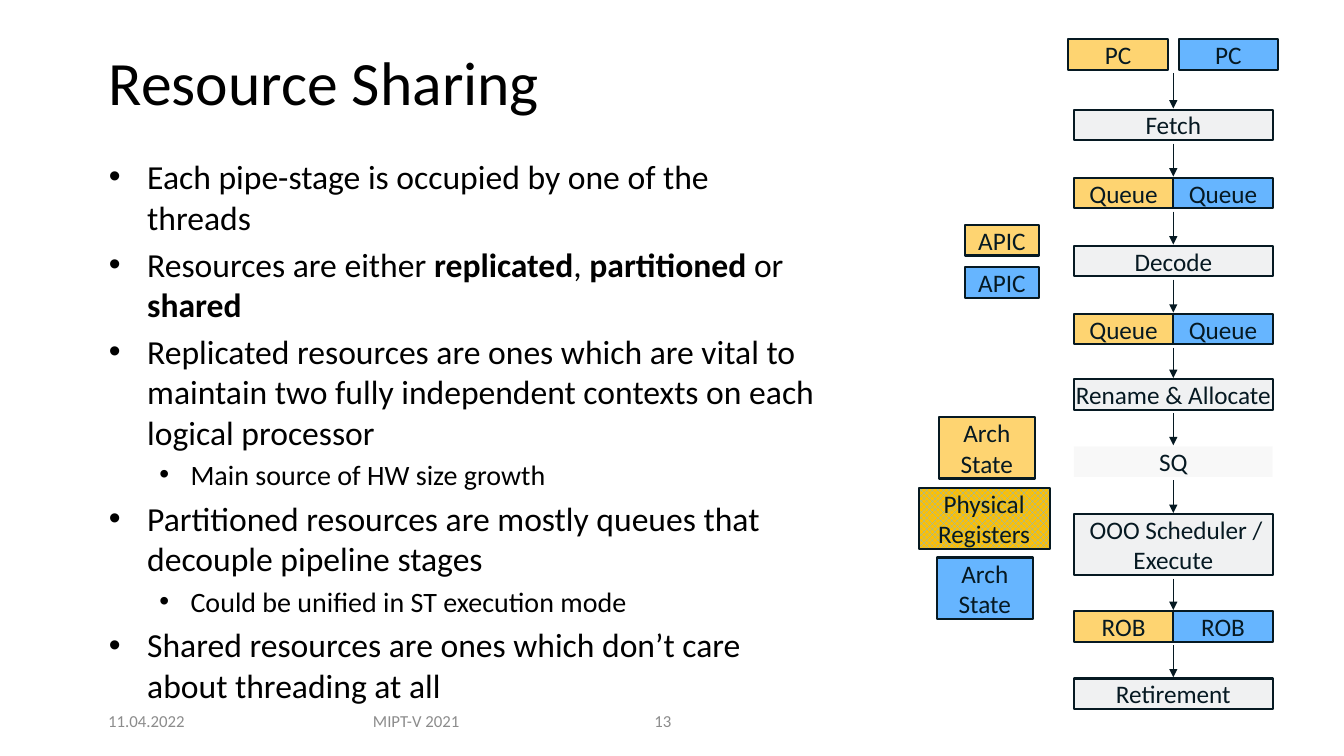
import dataclasses
import itertools

import lxml.etree
import pptx
import pptx.dml.color
import pptx.enum.dml
import pptx.enum.shapes
import pptx.enum.text
import pptx.oxml
import pptx.oxml.ns
import pptx.util

SLIDE_WIDTH = pptx.util.Inches(13.33)
SLIDE_HEIGHT = pptx.util.Inches(7.5)
COLUMNS = ROWS = 100

FONT = "Calibri"
INK, BLACK, FOOTER_GRAY = "061922", "000000", "8C8C8C"
YELLOW, BLUE, SHARED = "FED471", "66B5FF", "F0F1F2"
GOLD, PALE = "FFC000", "F2F2F2"

CENTER = 87.3
HALF = 7.4
BOX_ROWS = 4.05
ARROW_START, ARROW_END = 0.45, 0.15
SIDE_INSET = pptx.util.Inches(0.1)


@dataclasses.dataclass
class Stage:
    label: str
    row: float
    rows: float = BOX_ROWS
    split: bool = False
    gap: float = 0


@dataclasses.dataclass
class Box:
    label: str
    column: float
    row: float
    columns: float
    rows: float
    color: str
    inset: int = SIDE_INSET


@dataclasses.dataclass
class Bullet:
    phrases: list[str]
    level: int = 0


@dataclasses.dataclass
class Footer:
    label: str
    column: float
    columns: float
    alignment: pptx.enum.text.PP_ALIGN


STAGES = [
    Stage("PC", 5.2, split=True, gap=0.8),
    Stage("Fetch", 14.5),
    Stage("Queue", 23.5, split=True),
    Stage("Decode", 32.5),
    Stage("Queue", 41.5, split=True),
    Stage("Rename & Allocate", 50.15),
    Stage("SQ", 59.05),
    Stage(" OOO Scheduler / Execute", 68, rows=2 * BOX_ROWS),
    Stage("ROB", 80.85, split=True),
    Stage("Retirement", 89.75),
]

SIDE_BOXES = [
    Box("APIC", 71.8, 29.75, 5.5, BOX_ROWS, YELLOW),
    Box("APIC", 71.8, 35.35, 5.5, BOX_ROWS, BLUE),
    Box("Arch State", 69.85, 55.2, 7.15, 2 * BOX_ROWS, YELLOW),
    Box("Physical Registers", 68.35, 64.5, 9.75, 2 * BOX_ROWS, GOLD),
    Box("Arch State", 69.7, 73.75, 7.15, 2 * BOX_ROWS, BLUE),
]

BULLETS = [
    Bullet(["Each pipe-stage is occupied by one of the threads"]),
    Bullet(["Resources are either ", "replicated", ", ", "partitioned", " or ", "shared"]),
    Bullet(["Replicated resources are ones which are vital to maintain two fully "
            "independent contexts on each logical processor"]),
    Bullet(["Main source of HW size growth"], 1),
    Bullet(["Partitioned resources are mostly queues that decouple pipeline stages"]),
    Bullet(["Could be unified in ST execution mode"], 1),
    Bullet(["Shared resources are ones which don’t care about threading at all"]),
]
BULLET_SIZES = [24, 20]
BULLET_INDENTS = [(0.38, -0.38), (0.81, -0.31)]

FOOTERS = [
    Footer("11.04.2022", 6.9, 8, pptx.enum.text.PP_ALIGN.CENTER),
    Footer("MIPT-V 2021", 25.05, 11.85, pptx.enum.text.PP_ALIGN.CENTER),
    Footer("13", 47.95, 5.9, pptx.enum.text.PP_ALIGN.LEFT),
]


def across(columns: float) -> int:
    return round(SLIDE_WIDTH * columns / COLUMNS)


def down(rows: float) -> int:
    return round(SLIDE_HEIGHT * rows / ROWS)


def rgb(color: str) -> pptx.dml.color.RGBColor:
    return pptx.dml.color.RGBColor.from_string(color)


def place(shape, column: float, row: float, columns: float, rows: float) -> None:
    shape.left, shape.top = across(column), down(row)
    shape.width, shape.height = across(columns), down(rows)


def format_runs(paragraph, size: float, color: str) -> None:
    for run in paragraph.runs:
        run.font.name = FONT
        run.font.size = pptx.util.Pt(size)
        run.font.color.rgb = rgb(color)


def fill_box(shape, color: str) -> None:
    if color == GOLD:
        shape.fill.patterned()
        shape.fill.pattern = pptx.enum.dml.MSO_PATTERN.LARGE_CHECKER_BOARD
        shape.fill.fore_color.rgb = rgb(BLUE)
        shape.fill.back_color.rgb = rgb(GOLD)
        return
    shape.fill.solid()
    shape.fill.fore_color.rgb = rgb(color)
    if color == PALE:
        tint = shape._element.spPr.find(".//" + pptx.oxml.ns.qn("a:srgbClr"))
        lxml.etree.SubElement(tint, pptx.oxml.ns.qn("a:alpha"), val="47000")


def draw_box(slide, box: Box) -> None:
    shape = slide.shapes.add_shape(
        pptx.enum.shapes.MSO_SHAPE.RECTANGLE,
        across(box.column), down(box.row), across(box.columns), down(box.rows))
    shape.shadow.inherit = False
    fill_box(shape, box.color)
    if box.color == PALE:
        shape.line.fill.background()
    else:
        shape.line.color.rgb = rgb(INK)
        shape.line.width = pptx.util.Pt(1.5)
    frame = shape.text_frame
    frame.word_wrap = True
    frame.margin_left = frame.margin_right = box.inset
    frame.margin_top = frame.margin_bottom = 0
    frame.vertical_anchor = pptx.enum.text.MSO_ANCHOR.MIDDLE
    frame.text = box.label
    frame.paragraphs[0].alignment = pptx.enum.text.PP_ALIGN.CENTER
    format_runs(frame.paragraphs[0], 18, INK)


def draw_stage(slide, stage: Stage) -> None:
    if stage.split:
        left = CENTER - stage.gap / 2 - HALF
        right = CENTER + stage.gap / 2
        for column, color in ((left, YELLOW), (right, BLUE)):
            draw_box(slide, Box(stage.label, column, stage.row, HALF, stage.rows, color))
    else:
        color = PALE if stage.label == "SQ" else SHARED
        draw_box(slide, Box(stage.label, CENTER - HALF, stage.row, 2 * HALF, stage.rows, color, 0))


def draw_arrow(slide, upper: Stage, lower: Stage) -> None:
    arrow = slide.shapes.add_connector(
        pptx.enum.shapes.MSO_CONNECTOR.STRAIGHT,
        across(CENTER), down(upper.row + upper.rows + ARROW_START),
        across(CENTER), down(lower.row - ARROW_END))
    arrow.line.color.rgb = rgb(INK)
    arrow.line.width = pptx.util.Pt(0.75)
    line = arrow.line._get_or_add_ln()
    lxml.etree.SubElement(line, pptx.oxml.ns.qn("a:tailEnd"), type="triangle")
    lxml.etree.SubElement(arrow._element.spPr, pptx.oxml.ns.qn("a:effectLst"))


def write_title(title) -> None:
    place(title, 7.35, 5.2, 67.95, 12.15)
    frame = title.text_frame
    frame.text = "Resource Sharing"
    frame.auto_size = pptx.enum.text.MSO_AUTO_SIZE.NONE
    frame.vertical_anchor = pptx.enum.text.MSO_ANCHOR.MIDDLE
    frame.paragraphs[0].alignment = pptx.enum.text.PP_ALIGN.LEFT
    frame.paragraphs[0].line_spacing = 0.9
    format_runs(frame.paragraphs[0], 44, BLACK)


def write_bullets(body) -> None:
    place(body, 7.35, 20, 54.15, 72.8)
    frame = body.text_frame
    frame.word_wrap = True
    frame.auto_size = pptx.enum.text.MSO_AUTO_SIZE.NONE
    for index, bullet in enumerate(BULLETS):
        paragraph = frame.add_paragraph() if index else frame.paragraphs[0]
        size = BULLET_SIZES[bullet.level]
        paragraph.level = bullet.level
        paragraph.space_before = pptx.util.Pt(0.2 * size if index else 0)
        properties = paragraph._p.get_or_add_pPr()
        for name, inches in zip(("marL", "indent"), BULLET_INDENTS[bullet.level]):
            properties.set(name, str(pptx.util.Inches(inches)))
        lxml.etree.SubElement(properties, pptx.oxml.ns.qn("a:buFont"), typeface="Arial")
        lxml.etree.SubElement(properties, pptx.oxml.ns.qn("a:buChar"), char="•")
        for position, phrase in enumerate(bullet.phrases):
            run = paragraph.add_run()
            run.text = phrase
            run.font.bold = position % 2 == 1
        format_runs(paragraph, size, BLACK)


def write_footer(slide, footer: Footer) -> None:
    shape = slide.shapes.add_textbox(
        across(footer.column), down(92.7), across(footer.columns), down(5.3))
    frame = shape.text_frame
    frame.word_wrap = True
    frame.vertical_anchor = pptx.enum.text.MSO_ANCHOR.MIDDLE
    frame.text = footer.label
    frame.paragraphs[0].alignment = footer.alignment
    format_runs(frame.paragraphs[0], 12, FOOTER_GRAY)


def main() -> None:
    presentation = pptx.Presentation()
    presentation.slide_width, presentation.slide_height = SLIDE_WIDTH, SLIDE_HEIGHT
    slide = presentation.slides.add_slide(presentation.slide_layouts[1])
    write_title(slide.shapes.title)
    write_bullets(slide.placeholders[1])
    for footer in FOOTERS:
        write_footer(slide, footer)
    for box in SIDE_BOXES:
        draw_box(slide, box)
    for stage in STAGES:
        draw_stage(slide, stage)
    for upper, lower in itertools.pairwise(STAGES):
        draw_arrow(slide, upper, lower)
    presentation.save("out.pptx")


if __name__ == "__main__":
    main()
